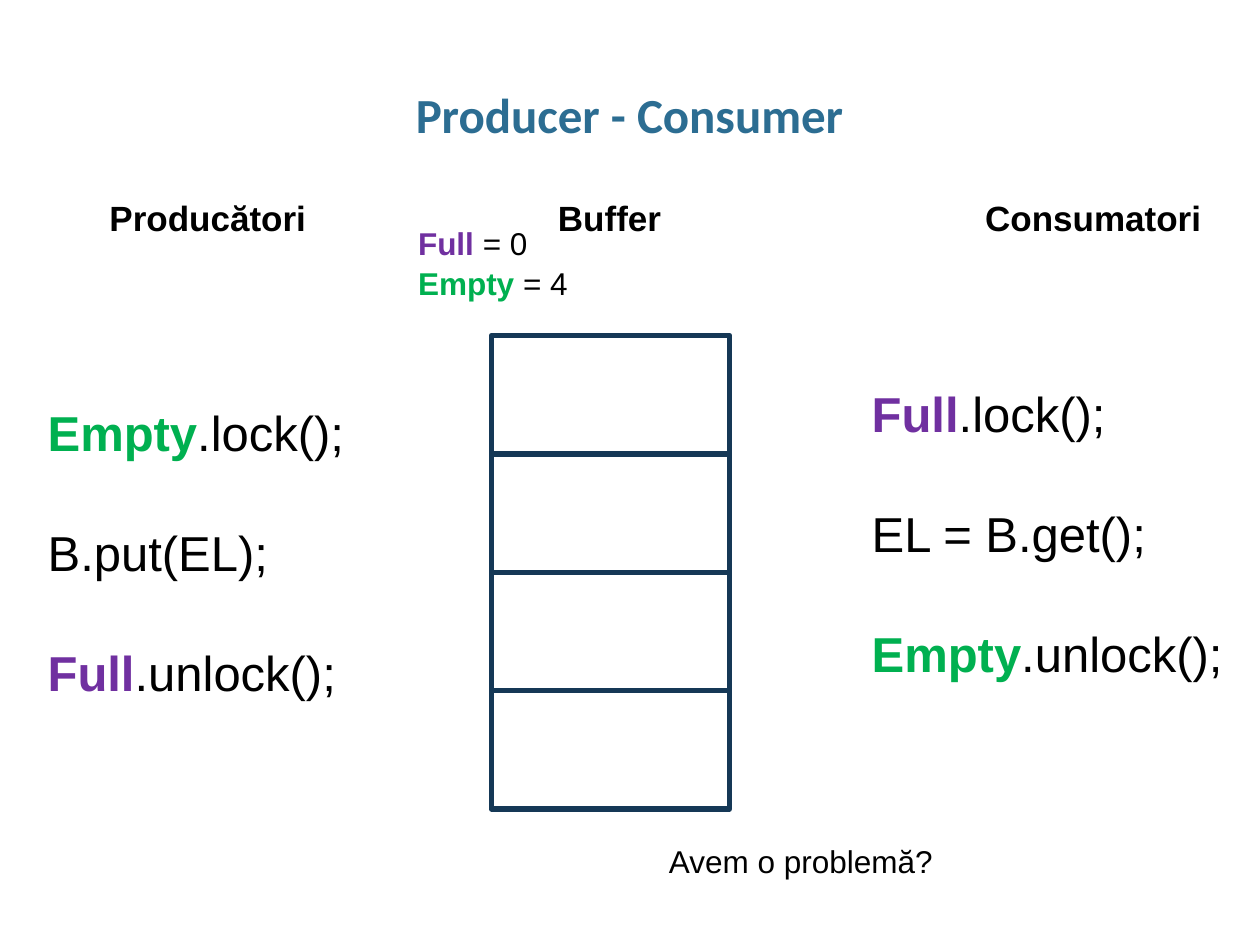
from pptx import Presentation
from pptx.dml.color import RGBColor
from pptx.enum.shapes import MSO_SHAPE
from pptx.enum.text import MSO_ANCHOR, MSO_AUTO_SIZE, PP_ALIGN
from pptx.util import Inches, Pt

WIDTH, HEIGHT = Inches(10), Inches(7.5)
COLUMN, ROW = WIDTH / 100, HEIGHT / 100

BLACK = RGBColor(0x00, 0x00, 0x00)
BLUE = RGBColor(0x2C, 0x6D, 0x92)
NAVY = RGBColor(0x15, 0x38, 0x56)
SEMAPHORES = {
    "Full": RGBColor(0x70, 0x30, 0xA0),
    "Empty": RGBColor(0x00, 0xB0, 0x50),
}

BUFFER_SLOTS = 4
SLOT_HEIGHT = 12.53
CODE_GAP = 33.5


def place(left, top, width, height):
    """Turn grid columns and rows into slide lengths."""
    return (round(left * COLUMN), round(top * ROW),
            round(width * COLUMN), round(height * ROW))


def add_title(slide, text):
    """Add the centred slide title."""
    frame = slide.shapes.add_textbox(*place(3.4, 9.07, 93.1, 6.67)).text_frame
    frame.word_wrap = True
    frame.margin_left = frame.margin_right = 0
    frame.vertical_anchor = MSO_ANCHOR.MIDDLE
    paragraph = frame.paragraphs[0]
    paragraph.text = text
    paragraph.alignment = PP_ALIGN.CENTER
    paragraph.line_spacing = 0.95
    font = paragraph.font
    font.name, font.size, font.bold = "Calibri", Pt(28), True
    font.color.rgb = BLUE


def add_semaphore_runs(paragraph, line):
    """Write a line with a leading semaphore name in its own bold colour."""
    name = next((name for name in SEMAPHORES if line.startswith(name)), "")
    if name:
        run = paragraph.add_run()
        run.text = name
        run.font.bold = True
        run.font.color.rgb = SEMAPHORES[name]
    paragraph.add_run().text = line[len(name):]


def add_lines(slide, position, lines, size, bold=False, gap=0):
    """Add an unwrapped text box with one paragraph per line."""
    frame = slide.shapes.add_textbox(*place(*position)).text_frame
    frame.word_wrap = False
    frame.auto_size = MSO_AUTO_SIZE.SHAPE_TO_FIT_TEXT
    for index, line in enumerate(lines):
        paragraph = frame.add_paragraph() if index else frame.paragraphs[0]
        paragraph.line_spacing = 1.04
        if index and gap:
            paragraph.space_before = Pt(gap)
        font = paragraph.font
        font.name, font.size, font.bold = "Arial", Pt(size), bold
        font.color.rgb = BLACK
        add_semaphore_runs(paragraph, line)


def add_buffer(slide, left, top, width):
    """Stack the empty slots of the buffer."""
    for index in range(BUFFER_SLOTS):
        slot = slide.shapes.add_shape(
            MSO_SHAPE.RECTANGLE,
            *place(left, top + index * SLOT_HEIGHT, width, SLOT_HEIGHT))
        slot.shadow.inherit = False
        slot.fill.background()
        slot.line.color.rgb = NAVY
        slot.line.width = Pt(3)


def main():
    """Build and save the producer and consumer slide."""
    presentation = Presentation()
    presentation.slide_width, presentation.slide_height = WIDTH, HEIGHT
    slide = presentation.slides.add_slide(presentation.slide_layouts[6])

    add_title(slide, "Producer - Consumer")
    add_buffer(slide, 39, 35.5, 18.9)
    for heading, left, width in (("Producători", 7.7, 17.8),
                                 ("Buffer", 43.3, 10.3),
                                 ("Consumatori", 77.2, 19.3)):
        add_lines(slide, (left, 20, width, 5.87), [heading], 20, bold=True)
    add_lines(slide, (2.8, 41.73, 25.8, 32.8),
              ["Empty.lock();", "B.put(EL);", "Full.unlock();"],
              28, gap=CODE_GAP)
    add_lines(slide, (68.2, 39.73, 30.2, 32.8),
              ["Full.lock();", "EL = B.get();", "Empty.unlock();"],
              28, gap=CODE_GAP)
    add_lines(slide, (32.2, 22.93, 14, 9.47), ["Full = 0", "Empty = 4"], 18)
    add_lines(slide, (52.1, 88.27, 23.2, 5.33), ["Avem o problemă?"], 18)

    presentation.save("out.pptx")


if __name__ == "__main__":
    main()
